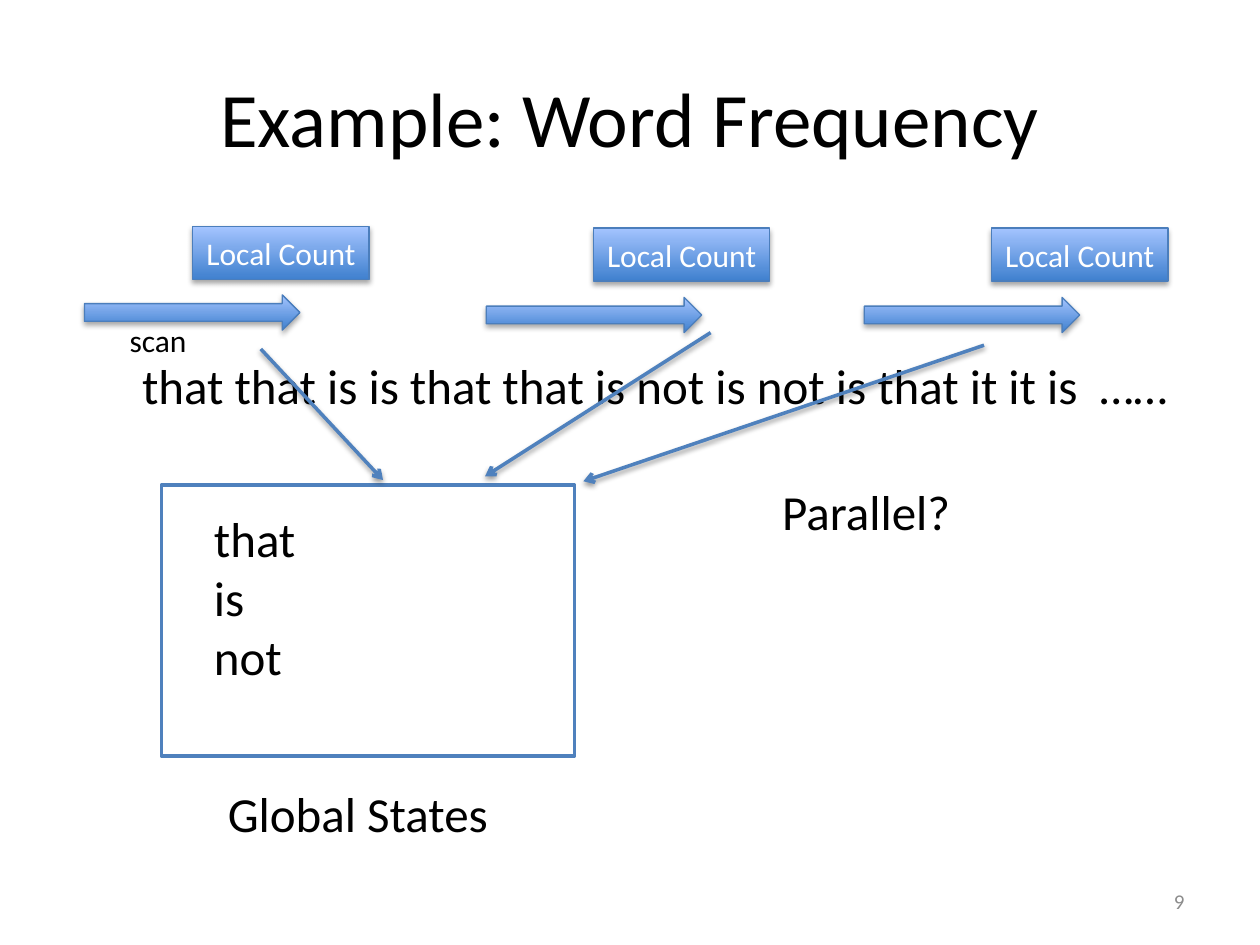
from pptx import Presentation
from pptx.dml.color import RGBColor
from pptx.enum.shapes import MSO_CONNECTOR, MSO_SHAPE
from pptx.enum.text import MSO_ANCHOR, PP_ALIGN
from pptx.oxml import parse_xml
from pptx.oxml.ns import nsdecls
from pptx.util import Inches, Pt

RECT, ARROW = MSO_SHAPE.RECTANGLE, MSO_SHAPE.RIGHT_ARROW
LINE = MSO_CONNECTOR.STRAIGHT
LEFT, CENTER, RIGHT = PP_ALIGN.LEFT, PP_ALIGN.CENTER, PP_ALIGN.RIGHT
TOP, MIDDLE = MSO_ANCHOR.TOP, MSO_ANCHOR.MIDDLE

THEME = {
    "font": "Calibri",
    "title": 44, "body": 28, "label": 18, "page": 12,
    "black": "000000", "white": "FFFFFF", "gray": "8C8C8C",
    "blue": "4F81BD", "edge": "4B7EBC",
    "fade": ("3F80CE", "A4C4FF"),
}

prs = Presentation()
prs.slide_width, prs.slide_height = Inches(10), Inches(7.5)
CELL = prs.slide_width / 100  # the slide is a grid of 100 columns by 75 rows


def write(shape, text, size="body", color="black", align=LEFT, anchor=TOP, wrap=False):
    """Fill a shape with text, one paragraph for each line."""
    frame = shape.text_frame
    frame.text = text
    frame.word_wrap = wrap
    frame.vertical_anchor = anchor
    for para in frame.paragraphs:
        para.alignment = align
        font = para.runs[0].font
        font.name, font.size = THEME["font"], Pt(THEME[size])
        font.color.rgb = RGBColor.from_string(THEME[color])


def shade(shape, alpha, drop):
    """Give a shape or connector a soft shadow straight below it."""
    shape._element.spPr.append(parse_xml(
        f'<a:effectLst {nsdecls("a")}>'
        f'<a:outerShdw blurRad="{Pt(3.1)}" dist="{Pt(drop)}" dir="5400000" rotWithShape="0">'
        f'<a:srgbClr val="{THEME["black"]}"><a:alpha val="{alpha * 1000}"/></a:srgbClr>'
        '</a:outerShdw></a:effectLst>'))


slide = prs.slides.add_slide(prs.slide_layouts[5])
shapes = slide.shapes

# Title
title = shapes.title
title.left, title.top, title.width, title.height = [int(n * CELL) for n in (5, 3, 90, 12.5)]
write(title, "Example: Word Frequency", size="title", align=CENTER, anchor=MIDDLE, wrap=True)

# Box of global states
box = shapes.add_shape(RECT, *[int(n * CELL) for n in (12.8, 38.5, 32.8, 21.5)])
box.shadow.inherit = False
box.fill.solid()
box.fill.fore_color.rgb = RGBColor.from_string(THEME["white"])
box.line.color.rgb = RGBColor.from_string(THEME["blue"])
box.line.width = Pt(2)

# Words, states and labels
page = {"size": "page", "color": "gray", "align": RIGHT, "anchor": MIDDLE, "wrap": True}
for text, spot, style in (
    ("9", (71.7, 69.5, 23.3, 4), page),
    ("that that is is that that is not is not is that it it is  ……", (10.3, 27.7, 86.4, 5.7), {}),
    ("that\nis\nnot", (16, 39.9, 8.6, 24.6), {}),
    ("scan", (9.3, 25, 6.6, 4), {"size": "label"}),
    ("Global States", (17.1, 61.7, 22.9, 5.7), {}),
    ("Parallel?", (61.1, 37.7, 15.5, 5.7), {}),
):
    note = shapes.add_textbox(*[int(n * CELL) for n in spot])
    write(note, text, **style)

# Scan arrows and local counts, one pair for each part of the words
arrows = [(ARROW, col, row, 17.1, 2.8, "") for col, row in ((6.7, 23.4), (38.6, 23.6), (68.6, 23.6))]
counts = [(RECT, col, row, 14, 4.2, "Local Count") for col, row in ((15.3, 18), (47.1, 18.1), (78.7, 18.1))]
for kind, *spot, text in arrows + counts:
    part = shapes.add_shape(kind, *[int(n * CELL) for n in spot])
    part.fill.gradient()
    part.fill.gradient_angle = 90
    for stop, tone in zip(part.fill.gradient_stops, THEME["fade"]):
        stop.color.rgb = RGBColor.from_string(tone)
        stop.position = THEME["fade"].index(tone)
    part.line.color.rgb = RGBColor.from_string(THEME["edge"])
    part.line.width = Pt(0.75)
    shade(part, 35, 1.8)
    if text:
        write(part, text, size="label", color="white", align=CENTER, anchor=MIDDLE)

# Lines that merge the local counts into the global states
for ends in ((20.7, 27.7, 30.4, 38.1), (56.4, 26.4, 38.5, 37.8), (78.1, 27.4, 46.3, 38.2)):
    link = shapes.add_connector(LINE, *[int(n * CELL) for n in ends])
    link.line.color.rgb = RGBColor.from_string(THEME["blue"])
    link.line.width = Pt(2)
    link.line._get_or_add_ln().append(parse_xml(f'<a:tailEnd {nsdecls("a")} type="arrow"/>'))
    shade(link, 38, 1.6)

prs.save("out.pptx")
